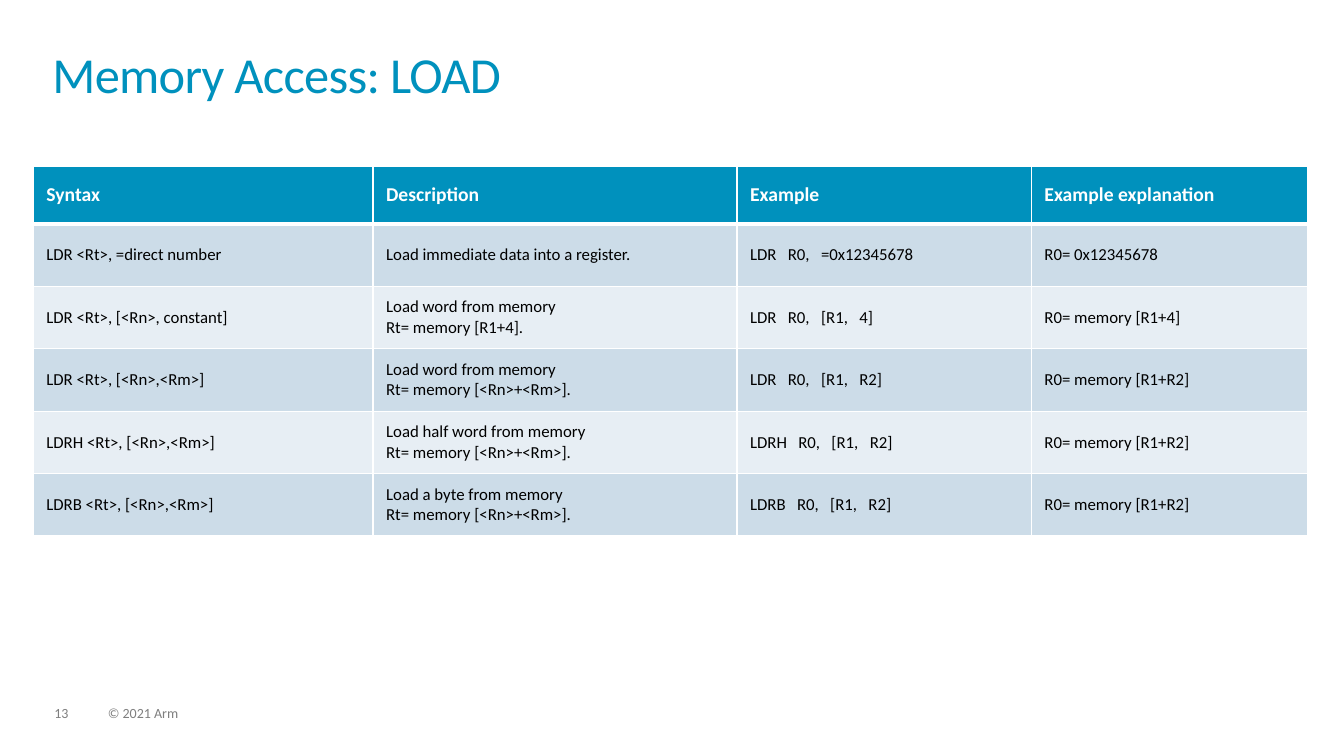
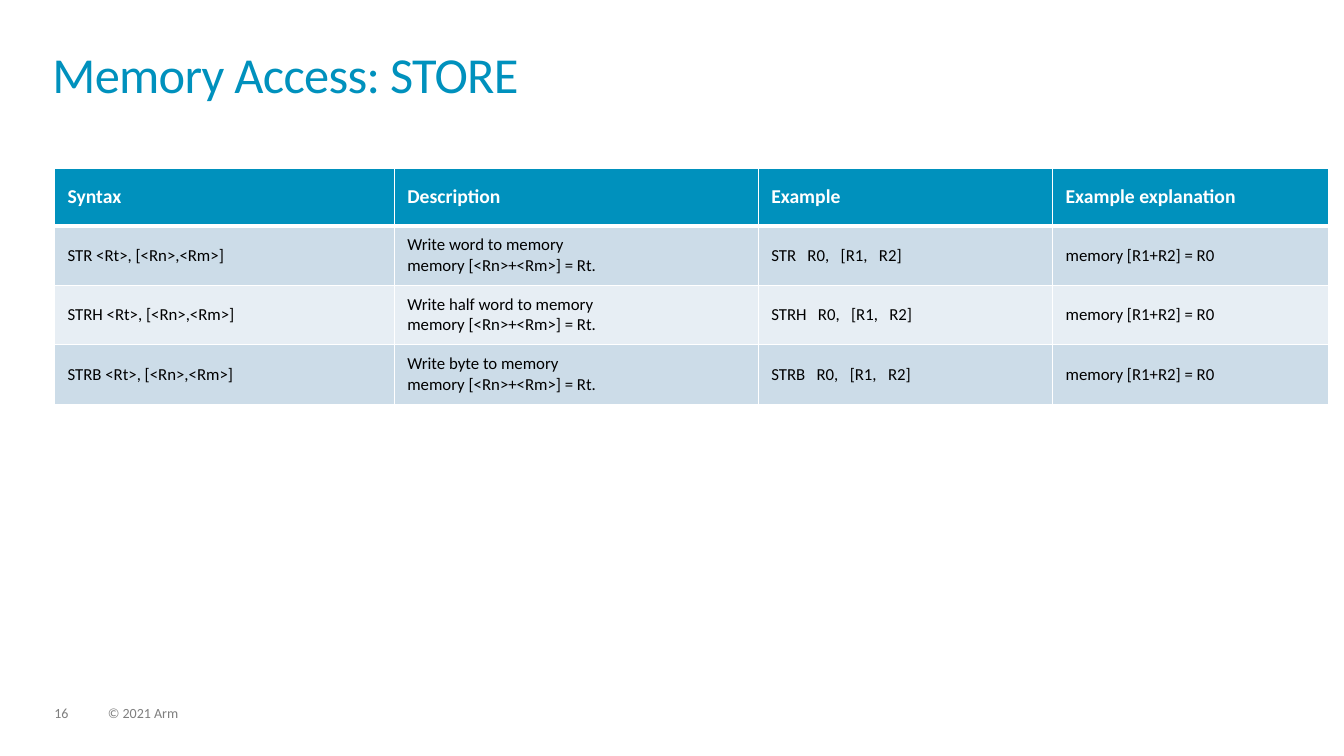
"""Build two slides that tabulate the load and store instructions."""
import lxml.etree
import pptx
import pptx.dml.color
import pptx.enum.text
import pptx.oxml.ns
import pptx.util

Inches = pptx.util.Inches
Pt = pptx.util.Pt
RGBColor = pptx.dml.color.RGBColor

FONT = "Calibri"
BLUE = RGBColor(0x00, 0x91, 0xBD)
BAND_DARK = RGBColor(0xCC, 0xDC, 0xE8)
BAND_LIGHT = RGBColor(0xE7, 0xEE, 0xF4)
GRAY = RGBColor(0x7F, 0x7F, 0x7F)
WHITE = RGBColor(0xFF, 0xFF, 0xFF)
BLACK = RGBColor(0x00, 0x00, 0x00)

COPYRIGHT = "© 2021 Arm"
HEADER = ("Syntax", "Description", "Example", "Example explanation")
COLUMN_WIDTHS = (3.37, 3.61, 2.92, 2.74)
HEADER_HEIGHT = 0.57

SLIDES = [
    {
        "title": "Memory Access: LOAD", "number": "13",
        "left": 0.33, "top": 1.65, "row_height": 0.62,
        "rows": [
            ("LDR <Rt>, =direct number", "Load immediate data into a register.",
             "LDR   R0,   =0x12345678", "R0= 0x12345678"),
            ("LDR <Rt>, [<Rn>, constant]", "Load word from memory\nRt= memory [R1+4].",
             "LDR   R0,   [R1,   4]", "R0= memory [R1+4]"),
            ("LDR <Rt>, [<Rn>,<Rm>]", "Load word from memory\nRt= memory [<Rn>+<Rm>].",
             "LDR   R0,   [R1,   R2]", "R0= memory [R1+R2]"),
            ("LDRH <Rt>, [<Rn>,<Rm>]", "Load half word from memory\nRt= memory [<Rn>+<Rm>].",
             "LDRH   R0,   [R1,   R2]", "R0= memory [R1+R2]"),
            ("LDRB <Rt>, [<Rn>,<Rm>]", "Load a byte from memory\nRt= memory [<Rn>+<Rm>].",
             "LDRB   R0,   [R1,   R2]", "R0= memory [R1+R2]"),
        ],
    },
    {
        "title": "Memory Access: STORE", "number": "16",
        "left": 0.54, "top": 1.67, "row_height": 0.59,
        "rows": [
            ("STR <Rt>, [<Rn>,<Rm>]", "Write word to memory\nmemory [<Rn>+<Rm>] = Rt.",
             "STR   R0,   [R1,   R2]", "memory [R1+R2] = R0"),
            ("STRH <Rt>, [<Rn>,<Rm>]", "Write half word to memory\nmemory [<Rn>+<Rm>] = Rt.",
             "STRH   R0,   [R1,   R2]", "memory [R1+R2] = R0"),
            ("STRB <Rt>, [<Rn>,<Rm>]", "Write byte to memory\nmemory [<Rn>+<Rm>] = Rt.",
             "STRB   R0,   [R1,   R2]", "memory [R1+R2] = R0"),
        ],
    },
]


def write_text(text_frame, text, size, color, bold=False, line_spacing=None):
    """Fill a text frame, one paragraph a line, in a single style."""
    text_frame.text = text
    for paragraph in text_frame.paragraphs:
        paragraph.alignment = pptx.enum.text.PP_ALIGN.LEFT
        paragraph.line_spacing = line_spacing
        paragraph.font.name = FONT
        paragraph.font.size = Pt(size)
        paragraph.font.bold = bold
        paragraph.font.color.rgb = color


def prepare_frame(text_frame):
    """Remove the margins and anchor the text at the top."""
    text_frame.margin_left = text_frame.margin_right = 0
    text_frame.margin_top = text_frame.margin_bottom = 0
    text_frame.vertical_anchor = pptx.enum.text.MSO_ANCHOR.TOP
    text_frame.auto_size = pptx.enum.text.MSO_AUTO_SIZE.NONE
    text_frame.word_wrap = True


def add_title(slide, text):
    """Place and style the title placeholder."""
    title = slide.shapes.title
    title.left, title.top = Inches(0.52), Inches(0.52)
    title.width, title.height = Inches(12.28), Inches(0.72)
    prepare_frame(title.text_frame)
    write_text(title.text_frame, text, 36, BLUE, line_spacing=0.85)
    properties = title.text_frame.paragraphs[0]._p.get_or_add_pPr()
    properties.get_or_add_defRPr().set("spc", "-50")


def add_footer(slide, number):
    """Add the slide number and the copyright line."""
    for text, left, width in ((number, 0.54, 0.34), (COPYRIGHT, 1.07, 5.07)):
        box = slide.shapes.add_textbox(Inches(left), Inches(7.01), Inches(width), Inches(0.15))
        prepare_frame(box.text_frame)
        write_text(box.text_frame, text, 10, GRAY, line_spacing=0.9)


def set_borders(cell, top, bottom):
    """Draw white borders round a cell, with top and bottom widths in points."""
    properties = cell._tc.get_or_add_tcPr()
    for side, width in (("L", 1), ("R", 1), ("T", top), ("B", bottom)):
        line = lxml.etree.SubElement(properties, pptx.oxml.ns.qn(f"a:ln{side}"), w=str(Pt(width)))
        fill = lxml.etree.SubElement(line, pptx.oxml.ns.qn("a:solidFill"))
        lxml.etree.SubElement(fill, pptx.oxml.ns.qn("a:srgbClr"), val=str(WHITE))


def add_instruction_table(slide, left, top, row_height, rows):
    """Add the table with a blue header and banded rows."""
    all_rows = [HEADER, *rows]
    heights = [HEADER_HEIGHT] + [row_height] * len(rows)
    table = slide.shapes.add_table(
        len(all_rows), len(HEADER), Inches(left), Inches(top),
        Inches(sum(COLUMN_WIDTHS)), Inches(sum(heights))).table
    table.horz_banding = False
    for column, width in zip(table.columns, COLUMN_WIDTHS):
        column.width = Inches(width)
    for index, (row, height, texts) in enumerate(zip(table.rows, heights, all_rows)):
        row.height = Inches(height)
        is_header = index == 0
        band = BLUE if is_header else BAND_DARK if index % 2 else BAND_LIGHT
        for cell, text in zip(row.cells, texts):
            set_borders(cell, 3 if index == 1 else 1, 3 if is_header else 1)
            cell.fill.solid()
            cell.fill.fore_color.rgb = band
            cell.margin_left = cell.margin_right = Inches(0.13)
            cell.margin_top = cell.margin_bottom = Inches(0.05)
            cell.vertical_anchor = pptx.enum.text.MSO_ANCHOR.MIDDLE
            write_text(cell.text_frame, text, 14 if is_header else 12,
                       WHITE if is_header else BLACK, bold=is_header)


def main():
    """Build and save the presentation."""
    presentation = pptx.Presentation()
    presentation.slide_width, presentation.slide_height = Inches(13.33), Inches(7.5)
    for content in SLIDES:
        slide = presentation.slides.add_slide(presentation.slide_layouts[5])
        add_title(slide, content["title"])
        add_instruction_table(slide, content["left"], content["top"],
                              content["row_height"], content["rows"])
        add_footer(slide, content["number"])
    presentation.save("out.pptx")


if __name__ == "__main__":
    main()
